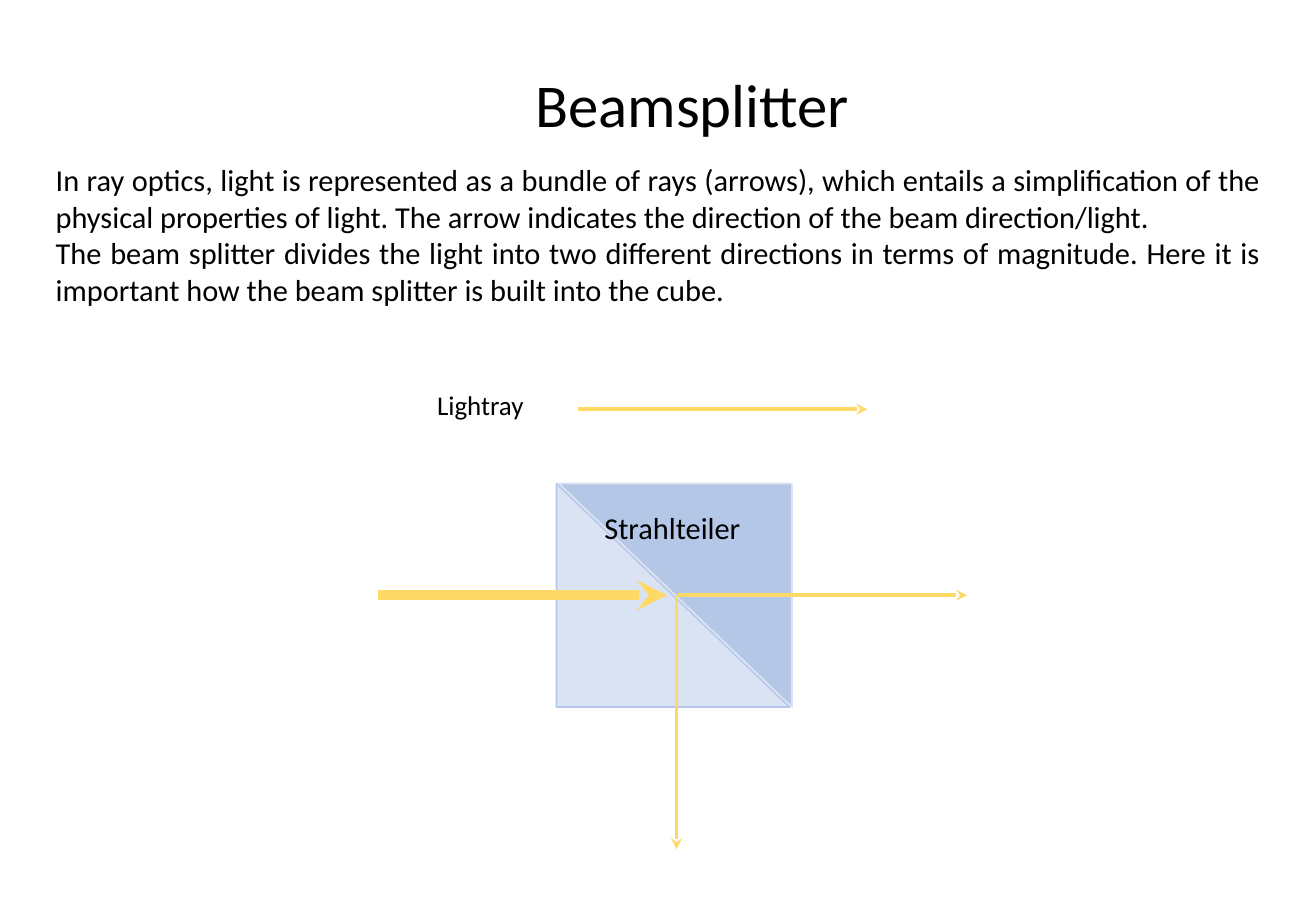
from dataclasses import dataclass

from lxml import etree
from pptx import Presentation
from pptx.dml.color import RGBColor
from pptx.enum.shapes import MSO_CONNECTOR, MSO_SHAPE
from pptx.enum.text import MSO_AUTO_SIZE, PP_ALIGN
from pptx.oxml.ns import qn
from pptx.slide import Slide
from pptx.util import Pt

LEFT, CENTER, JUSTIFY = PP_ALIGN.LEFT, PP_ALIGN.CENTER, PP_ALIGN.JUSTIFY
GROW = MSO_AUTO_SIZE.SHAPE_TO_FIT_TEXT
TRIANGLE = MSO_SHAPE.RIGHT_TRIANGLE
STRAIGHT = MSO_CONNECTOR.STRAIGHT


@dataclass(frozen=True)
class Theme:
    font: str = "Calibri"
    ink: str = "000000"
    ray: str = "FFD966"
    pale: str = "DAE3F3"
    blue: str = "B4C7E7"
    title: float = 36
    body: float = 18
    label: float = 16
    edge: float = 1
    thin: float = 2.25
    thick: float = 6


@dataclass(frozen=True)
class Label:
    text: str
    left: float
    top: float
    width: float
    height: float
    size: float
    align: PP_ALIGN = LEFT
    wrap: bool = True


@dataclass(frozen=True)
class Prism:
    left: float
    fill: str
    edge: str
    turn: float


@dataclass(frozen=True)
class Ray:
    x: float
    y: float
    dx: float
    dy: float
    weight: float


THEME = Theme()
CUBE_TOP, CUBE_WIDTH, CUBE_HEIGHT = 286.6, 138.2, 132.5
REACH = 171.4
AXIS = 352.8

INTRO = (
    "In ray optics, light is represented as a bundle of rays (arrows), which entails "
    "a simplification of the physical properties of light. The arrow indicates the "
    "direction of the beam direction/light.\n"
    "The beam splitter divides the light into two different directions in terms of "
    "magnitude. Here it is important how the beam splitter is built into the cube."
)

PRISMS = [
    Prism(329.8, THEME.pale, THEME.blue, 0),
    Prism(331.2, THEME.blue, THEME.pale, 180),
]
LABELS = [
    Label("Beamsplitter", 310.3, 36, 203, 51.1, THEME.title, wrap=False),
    Label(INTRO, 25.9, 92.2, 728.6, 94.3, THEME.body, JUSTIFY),
    Label("Lightray", 252, 226.8, 66.2, 26.6, THEME.label, wrap=False),
    Label("Strahlteiler", 319, 298.1, 159.1, 28.8, THEME.body, CENTER),
]
RAYS = [
    Ray(342.7, 242.6, REACH, 0, THEME.thin),
    Ray(223.9, AXIS, REACH, 0, THEME.thick),
    Ray(401.8, AXIS, REACH, 0, THEME.thin),
    Ray(401, 353.5, 0, 149.8, THEME.thin),
]


def color(code: str) -> RGBColor:
    return RGBColor.from_string(code)


def draw_prism(slide: Slide, prism: Prism) -> None:
    shape = slide.shapes.add_shape(
        TRIANGLE, Pt(prism.left), Pt(CUBE_TOP), Pt(CUBE_WIDTH), Pt(CUBE_HEIGHT)
    )
    shape.rotation = prism.turn
    shape.shadow.inherit = False
    shape.fill.solid()
    shape.fill.fore_color.rgb = color(prism.fill)
    shape.line.color.rgb = color(prism.edge)
    shape.line.width = Pt(THEME.edge)


def draw_label(slide: Slide, label: Label) -> None:
    box = slide.shapes.add_textbox(
        Pt(label.left), Pt(label.top), Pt(label.width), Pt(label.height)
    )
    frame = box.text_frame
    frame.word_wrap = label.wrap
    frame.auto_size = GROW
    frame.text = label.text
    for para in frame.paragraphs:
        para.alignment = label.align
        for run in para.runs:
            run.font.name = THEME.font
            run.font.size = Pt(label.size)
            run.font.color.rgb = color(THEME.ink)


def draw_ray(slide: Slide, ray: Ray) -> None:
    line = slide.shapes.add_connector(
        STRAIGHT, Pt(ray.x), Pt(ray.y), Pt(ray.x + ray.dx), Pt(ray.y + ray.dy)
    )
    line.line.color.rgb = color(THEME.ray)
    line.line.width = Pt(ray.weight)
    etree.SubElement(line.get_or_add_ln(), qn("a:tailEnd"), type="stealth")
    etree.SubElement(line.element.spPr, qn("a:effectLst"))


def main() -> None:
    deck = Presentation()
    deck.slide_width, deck.slide_height = Pt(780), Pt(540)
    slide = deck.slides.add_slide(deck.slide_layouts[6])
    for prism in PRISMS:
        draw_prism(slide, prism)
    for label in LABELS:
        draw_label(slide, label)
    for ray in RAYS:
        draw_ray(slide, ray)
    deck.save("out.pptx")


if __name__ == "__main__":
    main()
